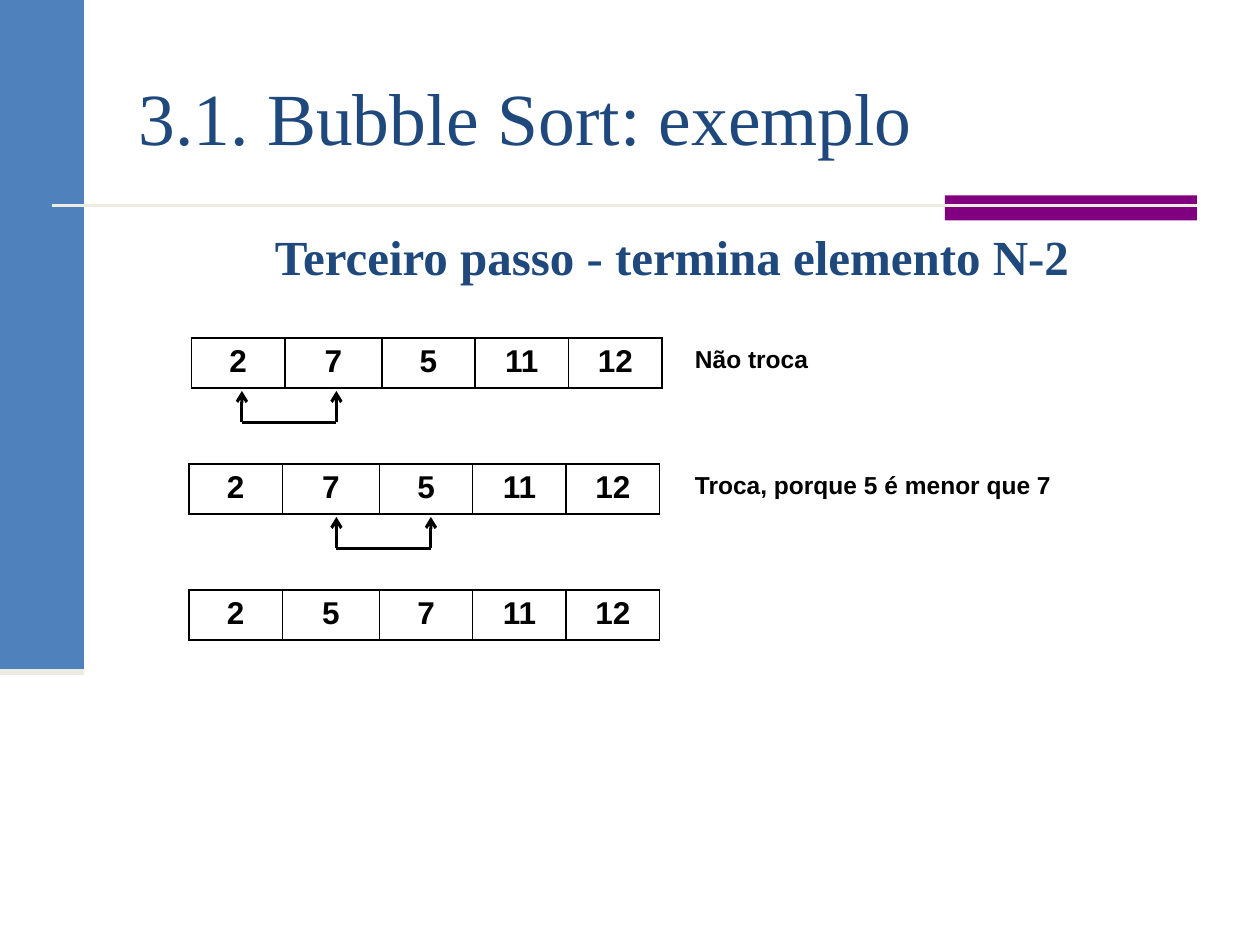
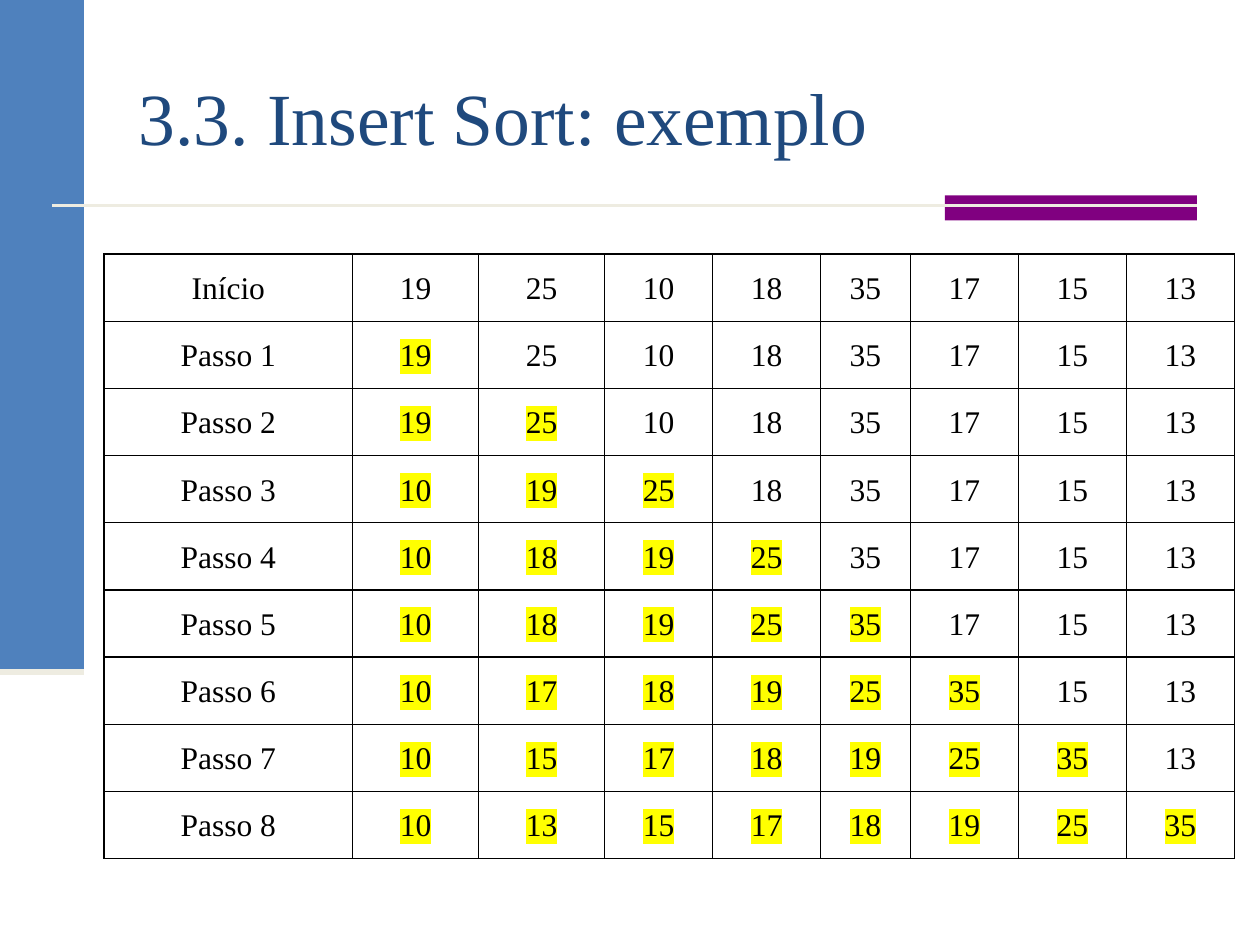
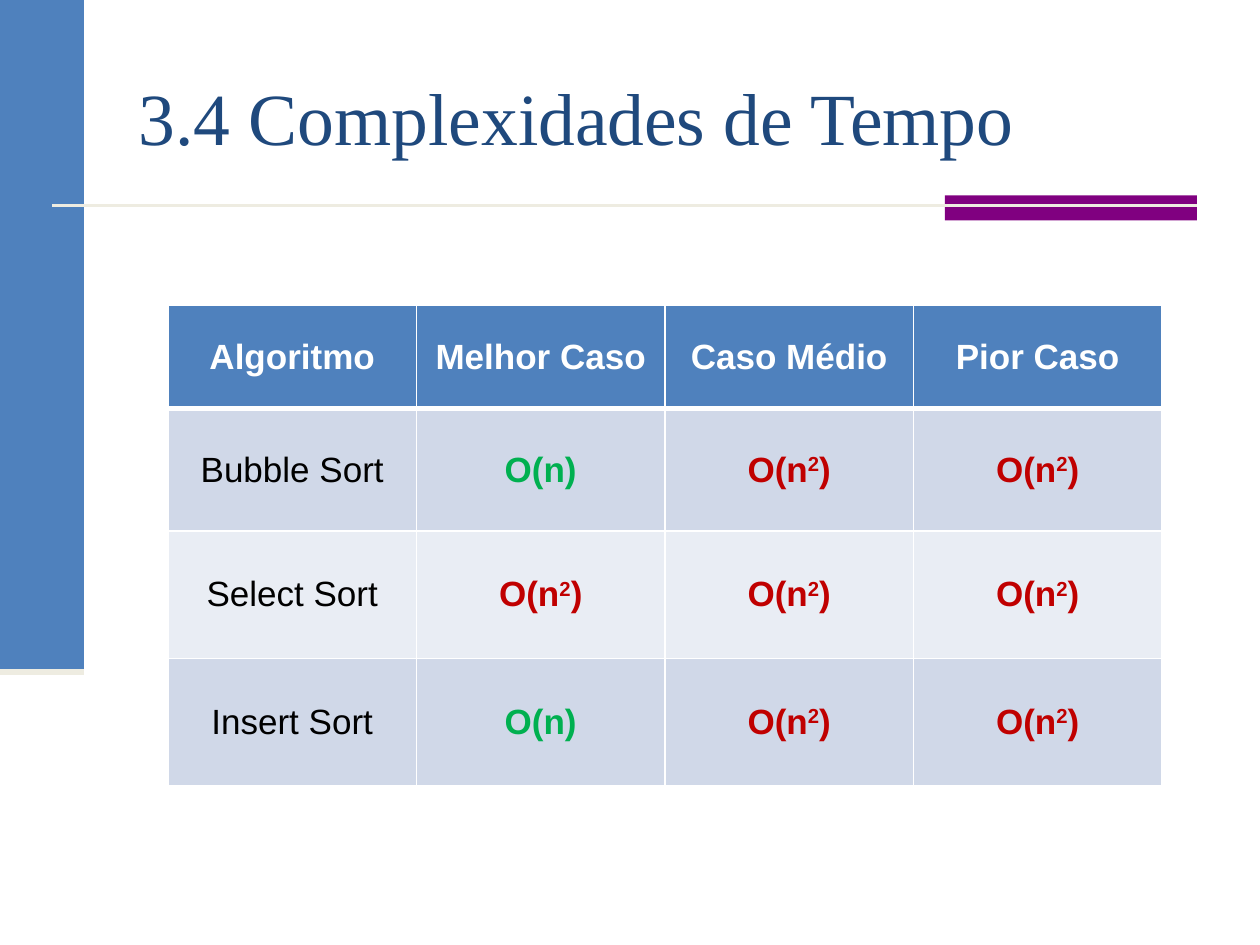
from dataclasses import dataclass

from lxml import etree
from pptx import Presentation
from pptx.dml.color import RGBColor
from pptx.enum import shapes, text
from pptx.oxml import ns
from pptx.util import Pt


@dataclass(frozen=True)
class Theme:
    """Colours, fonts and type sizes shared by the slides."""
    blue: str = "4F81BD"
    purple: str = "800080"
    sand: str = "EEECE1"
    navy: str = "1F497D"
    black: str = "000000"
    white: str = "FFFFFF"
    yellow: str = "FFFF00"
    green: str = "00B050"
    red: str = "C00000"
    stripes: tuple = ("D0D8E8", "E9EDF4")
    serif: str = "Times New Roman"
    sans: str = "Arial"
    title: float = 42
    subtitle: float = 28
    table: float = 20
    cell: float = 18
    note: float = 14


THEME = Theme()
CENTER = text.PP_ALIGN.CENTER
MIDDLE = text.MSO_ANCHOR.MIDDLE

SORT_WIDTHS = (53.4, 55.4, 53.4, 53.4, 53.4)
STEP_PITCH = 72
SLOT_PITCH = 54
INSERT_WIDTHS = (142, 72, 72, 61.7, 61.7, 51.4, 61.7, 61.7, 61.7)


def rgb(color):
    """Turn a hex string into a colour."""
    return RGBColor.from_string(color)


def sub(parent, tag, **attributes):
    """Append a DrawingML child element."""
    return etree.SubElement(parent, ns.qn(tag), **attributes)


def write(frame, words, *, font=THEME.sans, size=THEME.cell, color=THEME.black,
          bold=False, align=text.PP_ALIGN.LEFT, spacing=None, highlight=None):
    """Write one formatted paragraph; words between carets are raised."""
    paragraph = frame.paragraphs[0]
    paragraph.alignment = align
    if spacing:
        paragraph.line_spacing = spacing
    for index, piece in enumerate(words.split("^")):
        run = paragraph.add_run()
        run.text = piece
        run.font.name, run.font.size, run.font.bold = font, Pt(size), bold
        run.font.color.rgb = rgb(color)
        properties = run._r.get_or_add_rPr()
        if index % 2:
            properties.set("baseline", "30000")
        if highlight:
            marker = sub(properties, "a:highlight")
            sub(marker, "a:srgbClr", val=highlight)
            properties.find(ns.qn("a:solidFill")).addnext(marker)


def add_band(owner, left, top, width, height, color):
    """Add a plain filled rectangle."""
    band = owner.add_shape(shapes.MSO_SHAPE.RECTANGLE,
                           Pt(left), Pt(top), Pt(width), Pt(height))
    band.shadow.inherit = False
    band.fill.solid()
    band.fill.fore_color.rgb = rgb(color)
    band.line.fill.background()
    return band


def add_line(owner, start, end, color, weight, arrow=False):
    """Add a straight line, with an optional arrowhead at its start."""
    line = owner.add_connector(shapes.MSO_CONNECTOR.STRAIGHT,
                               *map(Pt, (*start, *end)))
    line.line.color.rgb = rgb(color)
    line.line.width = Pt(weight)
    if arrow:
        sub(line.line._get_or_add_ln(), "a:headEnd", type="arrow")
    sub(line._element.spPr, "a:effectLst")
    return line


def add_label(slide, words, left, top, width, height, **style):
    """Add a wrapped text box."""
    label = slide.shapes.add_textbox(Pt(left), Pt(top), Pt(width), Pt(height))
    label.text_frame.word_wrap = True
    write(label.text_frame, words, **style)


def add_grid(slide, left, top, widths, heights):
    """Add an unbanded table with the given column widths and row heights."""
    grid = slide.shapes.add_table(len(heights), len(widths), Pt(left), Pt(top),
                                  Pt(sum(widths)), Pt(sum(heights))).table
    grid.first_row = grid.horz_banding = False
    for column, width in zip(grid.columns, widths):
        column.width = Pt(width)
    for row, height in zip(grid.rows, heights):
        row.height = Pt(height)
    return grid


def fill_cell(cell, words, *, border=THEME.black, fill=None, top=1, bottom=1,
              **style):
    """Write centred words in a cell and set its borders and fill."""
    write(cell.text_frame, words, align=CENTER, **style)
    properties = cell._tc.get_or_add_tcPr()
    for side, weight in (("L", 1), ("R", 1), ("T", top), ("B", bottom)):
        edge = sub(properties, f"a:ln{side}", w=str(Pt(weight)))
        sub(sub(edge, "a:solidFill"), "a:srgbClr", val=border)
    if fill:
        cell.fill.solid()
        cell.fill.fore_color.rgb = rgb(fill)
    else:
        cell.fill.background()


def decorate_layout(layout, slide):
    """Place the title and the shared bands and rules on the layout."""
    for holder in list(layout.placeholders):
        if holder.placeholder_format.type == shapes.PP_PLACEHOLDER.TITLE:
            holder.left, holder.top = Pt(72), Pt(21.6)
            holder.width, holder.height = Pt(612), Pt(90)
        else:
            holder.element.getparent().remove(holder.element)
    decor = (
        add_band(slide.shapes, 0, 0, 48, 384, THEME.blue),
        add_band(slide.shapes, 540, 111.6, 144, 14.4, THEME.purple),
        add_line(slide.shapes, (30, 117.6), (684, 117.6), THEME.sand, 1.5),
        add_line(slide.shapes, (0, 384), (48, 384), THEME.sand, 3.5),
    )
    for position, part in enumerate(decor, start=2):
        layout.shapes.element.insert(position, part._element)


def write_title(slide, words):
    """Fill the title placeholder."""
    frame = slide.shapes.title.text_frame
    frame.vertical_anchor = MIDDLE
    frame.auto_size = text.MSO_AUTO_SIZE.NONE
    write(frame, words, font=THEME.serif, size=THEME.title, color=THEME.navy)


def add_comparison(slide, slot, top):
    """Draw the bracket that points at two neighbouring values."""
    bracket = slide.shapes.add_group_shape().shapes
    left = 138.24 + slot * SLOT_PITCH
    right, base = left + SLOT_PITCH, top + 18
    for x in (right, left):
        add_line(bracket, (x, top), (x, base), THEME.black, 1.75, arrow=True)
    add_line(bracket, (left, base), (right, base), THEME.black, 1.75)


def bubble_sort(slide):
    """Show the third pass of the bubble sort."""
    write_title(slide, "3.1. Bubble Sort: exemplo")
    steps = (
        ((2, 7, 5, 11, 12), 109.4, "Não troca"),
        ((2, 7, 5, 11, 12), 108, "Troca, porque 5 é menor que 7"),
        ((2, 5, 7, 11, 12), 108, None),
    )
    for index, (values, left, note) in enumerate(steps):
        top = 193 + index * STEP_PITCH
        grid = add_grid(slide, left, top, SORT_WIDTHS, (28.6,))
        for cell, value in zip(grid.iter_cells(), values):
            fill_cell(cell, str(value), bold=True)
        if note:
            add_label(slide, note, 390, top, 276, 24.5,
                      size=THEME.note, bold=True)
            add_comparison(slide, index, top + 30.4)
    add_label(slide, "Terceiro passo - termina elemento N-2", 66, 126, 636, 41,
              font=THEME.serif, size=THEME.subtitle, color=THEME.navy,
              bold=True, align=CENTER)


def insert_sort(slide):
    """Trace the insertion sort, highlighting the ordered part."""
    write_title(slide, "3.3. Insert Sort: exemplo")
    values = [19, 25, 10, 18, 35, 17, 15, 13]
    grid = add_grid(slide, 59.5, 145.2, INSERT_WIDTHS,
                    [38.4] * (len(values) + 1))
    for step, row in enumerate(grid.rows):
        ordered = sorted(values[:step]) + values[step:]
        heading = f"Passo {step}" if step else "Início"
        for column, (cell, words) in enumerate(zip(row.cells,
                                                   [heading, *ordered])):
            cell.margin_left = cell.margin_right = Pt(5)
            cell.margin_top = cell.margin_bottom = 0
            fill_cell(cell, str(words), font=THEME.serif, spacing=1.5,
                      highlight=THEME.yellow if 1 <= column <= step else None)


def complexities(slide):
    """Compare the time complexities of the algorithms."""
    write_title(slide, "3.4 Complexidades de Tempo")
    linear, quadratic = "O(n)", "O(n^2^)"
    rows = (
        ("Algoritmo", "Melhor Caso", "Caso Médio", "Pior Caso"),
        ("Bubble Sort", linear, quadratic, quadratic),
        ("Select Sort", quadratic, quadratic, quadratic),
        ("Insert Sort", linear, quadratic, quadratic),
    )
    inks = {linear: THEME.green, quadratic: THEME.red}
    grid = add_grid(slide, 96, 174.5, [142] * 4, (59, 70, 72.7, 72.7))
    for index, (row, entries) in enumerate(zip(grid.rows, rows)):
        header = index == 0
        for cell, words in zip(row.cells, entries):
            cell.vertical_anchor = MIDDLE
            fill_cell(cell, words, size=THEME.table, border=THEME.white,
                      fill=THEME.blue if header else THEME.stripes[(index - 1) % 2],
                      color=THEME.white if header else inks.get(words, THEME.black),
                      bold=header or words in inks,
                      top=3 if index == 1 else 1, bottom=3 if header else 1)


def main():
    """Build and save the presentation."""
    deck = Presentation()
    deck.slide_width, deck.slide_height = Pt(720), Pt(540)
    layout = deck.slide_layouts[5]
    for number, build in enumerate((bubble_sort, insert_sort, complexities)):
        slide = deck.slides.add_slide(layout)
        if number == 0:
            decorate_layout(layout, slide)
        build(slide)
    deck.save("out.pptx")


if __name__ == "__main__":
    main()
